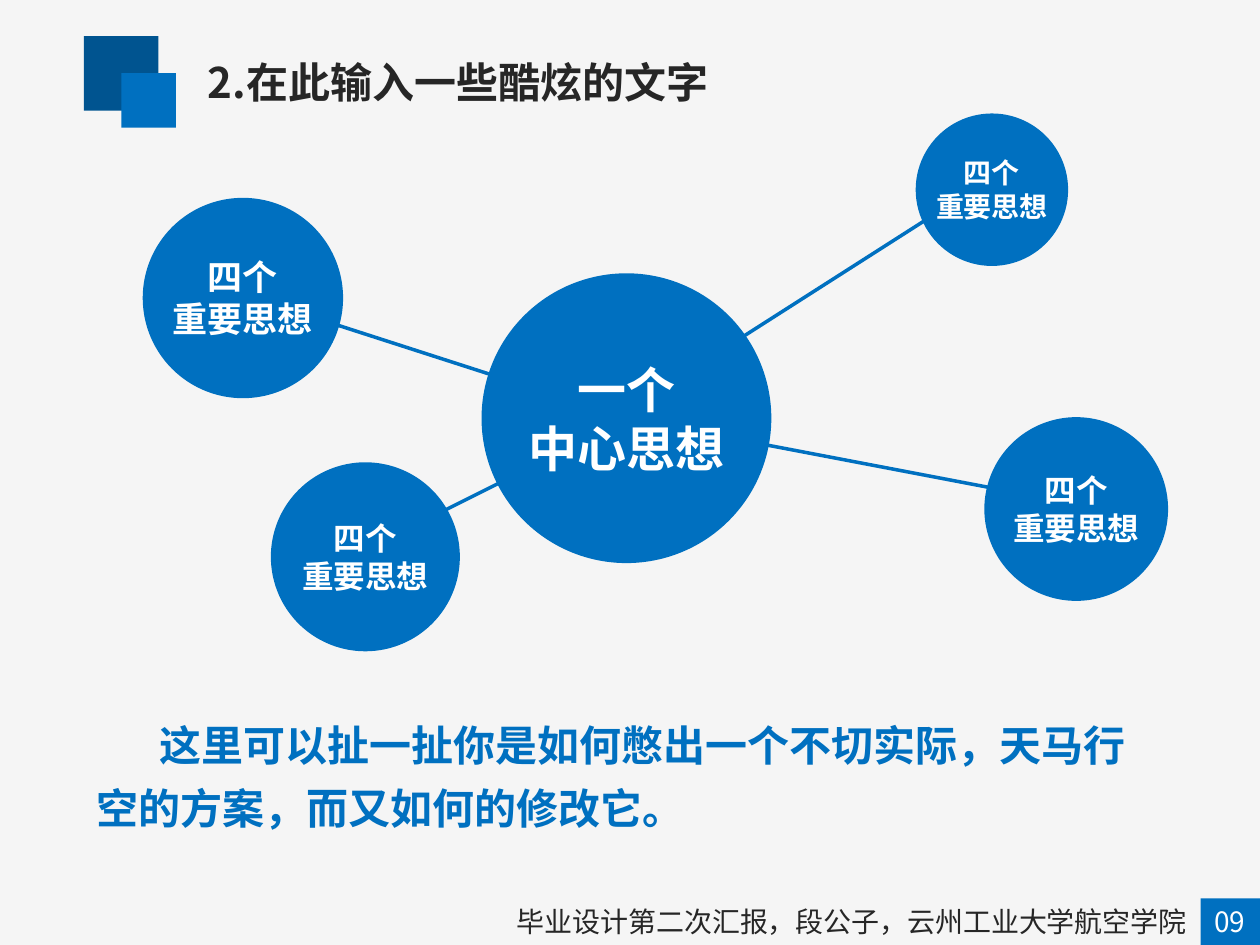
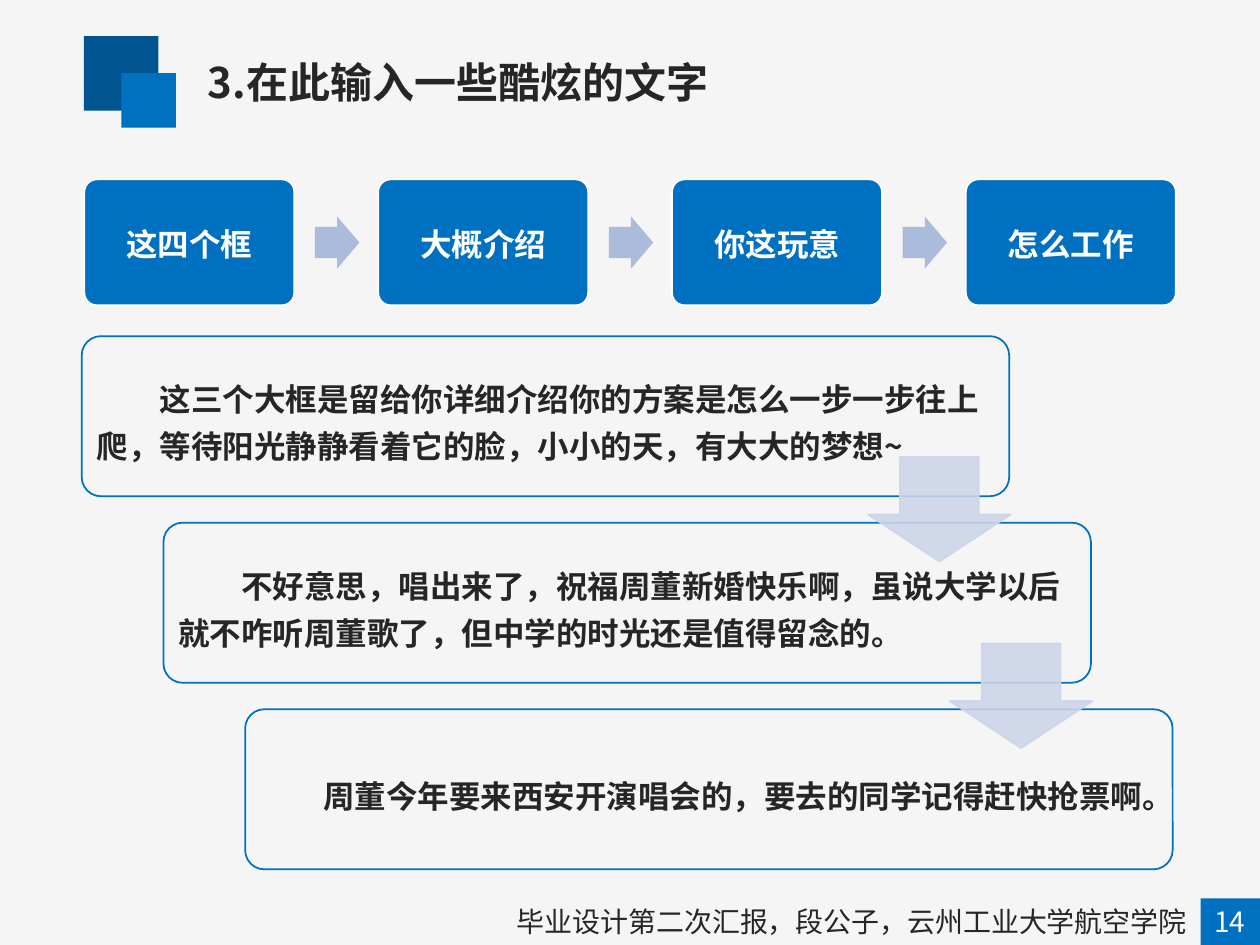
"""Builds two thesis report slides: an idea map and a process with three notes."""
from lxml import etree
from pptx import Presentation
from pptx.dml.color import RGBColor
from pptx.enum.shapes import MSO_CONNECTOR, MSO_SHAPE
from pptx.enum.text import MSO_AUTO_SIZE, PP_ALIGN
from pptx.oxml.ns import qn
from pptx.util import Pt

RECT, ELLIPSE, ROUND = MSO_SHAPE.RECTANGLE, MSO_SHAPE.OVAL, MSO_SHAPE.ROUNDED_RECTANGLE
RIGHT_ARROW, DOWN_ARROW = MSO_SHAPE.RIGHT_ARROW, MSO_SHAPE.DOWN_ARROW
STRAIGHT = MSO_CONNECTOR.STRAIGHT
LEFT, CENTER, RIGHT = PP_ALIGN.LEFT, PP_ALIGN.CENTER, PP_ALIGN.RIGHT
FIT = MSO_AUTO_SIZE.SHAPE_TO_FIT_TEXT

FONT = "Noto Sans CJK SC"
COLORS = {
    "paper": "F5F5F5",
    "navy": "005490",
    "blue": "0070C0",
    "ink": "262626",
    "white": "FFFFFF",
    "step_arrow": "ABBBDC",
    "note_arrow": "CCD5E8",
}
RGB = {name: RGBColor.from_string(value) for name, value in COLORS.items()}
FOOTER = "毕业设计第二次汇报，段公子，云州工业大学航空学院"


def add_shape(s, kind, box, fill, line=None, adjust=()):
    """Add a filled preset shape with an optional one-point outline."""
    sp = s.shapes.add_shape(kind, *map(Pt, box))
    sp.shadow.inherit = False
    sp.fill.solid()
    sp.fill.fore_color.rgb = RGB[fill]
    if line:
        sp.line.color.rgb = RGB[line]
        sp.line.width = Pt(1)
    else:
        sp.line.fill.background()
    for i, value in enumerate(adjust):
        sp.adjustments[i] = value
    return sp


def add_text(s, box, lines, size, color, bold=True, align=LEFT, indent=0, spacing=None):
    """Add a text box with one paragraph for each line."""
    tf = s.shapes.add_textbox(*map(Pt, box)).text_frame
    tf.word_wrap = True
    tf.auto_size = FIT
    for i, line in enumerate(lines):
        p = tf.paragraphs[0] if i == 0 else tf.add_paragraph()
        p.alignment = align
        if spacing:
            p.line_spacing = spacing
        if indent:
            p._p.get_or_add_pPr().set("indent", str(Pt(indent)))
        r = p.add_run()
        r.text = line
        for name, value in {"name": FONT, "size": Pt(size), "bold": bold}.items():
            setattr(r.font, name, value)
        r.font.color.rgb = RGB[color]
        etree.SubElement(r._r.get_or_add_rPr(), qn("a:ea"), typeface=FONT)


prs = Presentation()
prs.slide_width, prs.slide_height = Pt(720), Pt(540)

slides = []
for title, number in [("2.在此输入一些酷炫的文字", "09"), ("3.在此输入一些酷炫的文字", "14")]:
    s = prs.slides.add_slide(prs.slide_layouts[6])
    s.background.fill.solid()
    s.background.fill.fore_color.rgb = RGB["paper"]
    add_shape(s, RECT, (48, 20.7, 42.5, 42.5), "navy")
    add_shape(s, RECT, (69.3, 41.8, 31.2, 31.2), "blue")
    add_text(s, (111.6, 28.8, 560, 36), [title], 24, "ink")
    add_shape(s, RECT, (686, 513.4, 34, 26.6), "blue")
    add_text(s, (677.5, 513.4, 50.4, 26.6), [number], 16, "white", False, CENTER)
    add_text(s, (95.8, 513.4, 589.7, 26.6), [FOOTER], 16, "ink", False, RIGHT)
    slides.append(s)

s = slides[0]
links = [
    (134.6, 167, 355.7, 238.3),
    (202.3, 317.5, 356.4, 240.5),
    (349.2, 240.5, 550, 112.3),
    (354.2, 238.3, 614.9, 288),
]
for ends in links:
    link = s.shapes.add_connector(STRAIGHT, *map(Pt, ends))
    link.line.color.rgb = RGB["blue"]
    link.line.width = Pt(2)
    etree.SubElement(link._element.spPr, qn("a:effectLst"))

add_text(s, (48.2, 400.3, 623.5, 80), ["这里可以扯一扯你是如何憋出一个不切实际，天马行空的方案，而又如何的修改它。"],
         24, "blue", indent=36, spacing=1.25)

center_idea, idea = ["一个", "中心思想"], ["四个", "重要思想"]
circles = [
    (358, 239, 165.6, 165.6, 28, center_idea),
    (566.8, 108.4, 87.1, 130.3, 16, idea),
    (138.8, 170.3, 114.5, 171.4, 20, idea),
    (615, 290.9, 105, 157, 18, idea),
    (208.8, 318.2, 108, 161.3, 18, idea),
]
for x, y, d, width, size, lines in circles:
    add_shape(s, ELLIPSE, (x - d / 2, y - d / 2, d, d), "blue")
    height = 2.4 * size + 7.2
    add_text(s, (x - width / 2, y - height / 2, width, height), lines, size, "white", align=CENTER)

s = slides[1]
steps = ["这四个框", "大概介绍", "你这玩意", "怎么工作"]
for i, step in enumerate(steps):
    x = 48.2 + 167.9 * i
    add_shape(s, ROUND, (x, 102.5, 120, 72), "blue", "white", [0.1])
    add_text(s, (x, 125.3, 120, 28.8), [step], 18, "white", align=CENTER)
    if i < len(steps) - 1:
        add_shape(s, RIGHT_ARROW, (x + 131.8, 123.7, 25.4, 29.8), "step_arrow", adjust=[0.6, 0.5])

notes = [
    ("这三个大框是留给你详细介绍你的方案是怎么一步一步往上爬，等待阳光静静看着它的脸，小小的天，有大大的梦想~", 59),
    ("不好意思，唱出来了，祝福周董新婚快乐啊，虽说大学以后就不咋听周董歌了，但中学的时光还是值得留念的。", 59),
    ("周董今年要来西安开演唱会的，要去的同学记得赶快抢票啊。", 32.4),
]
dx, dy, note_h = 46.7, 106.6, 91.5
for i in range(len(notes)):
    add_shape(s, ROUND, (46.7 + dx * i, 192.1 + dy * i, 530, note_h), "paper", "blue", [0.12])

for i in range(len(notes) - 1):
    box = (496 + dx * i, 261.1 + dy * i, 81.6, 59.8)
    sp = add_shape(s, DOWN_ARROW, box, "note_arrow", "note_arrow", [0.55, 0.45])
    for color in sp._element.spPr.iter(qn("a:srgbClr")):
        etree.SubElement(color, qn("a:alpha"), val="90000")

for i, (note, height) in enumerate(notes):
    y = 192.1 + dy * i + (note_h - height) / 2
    add_text(s, (48.2 + dx * i, y, 528.5, height), [note], 18, "ink", indent=36, spacing=1.25)

prs.save("out.pptx")
